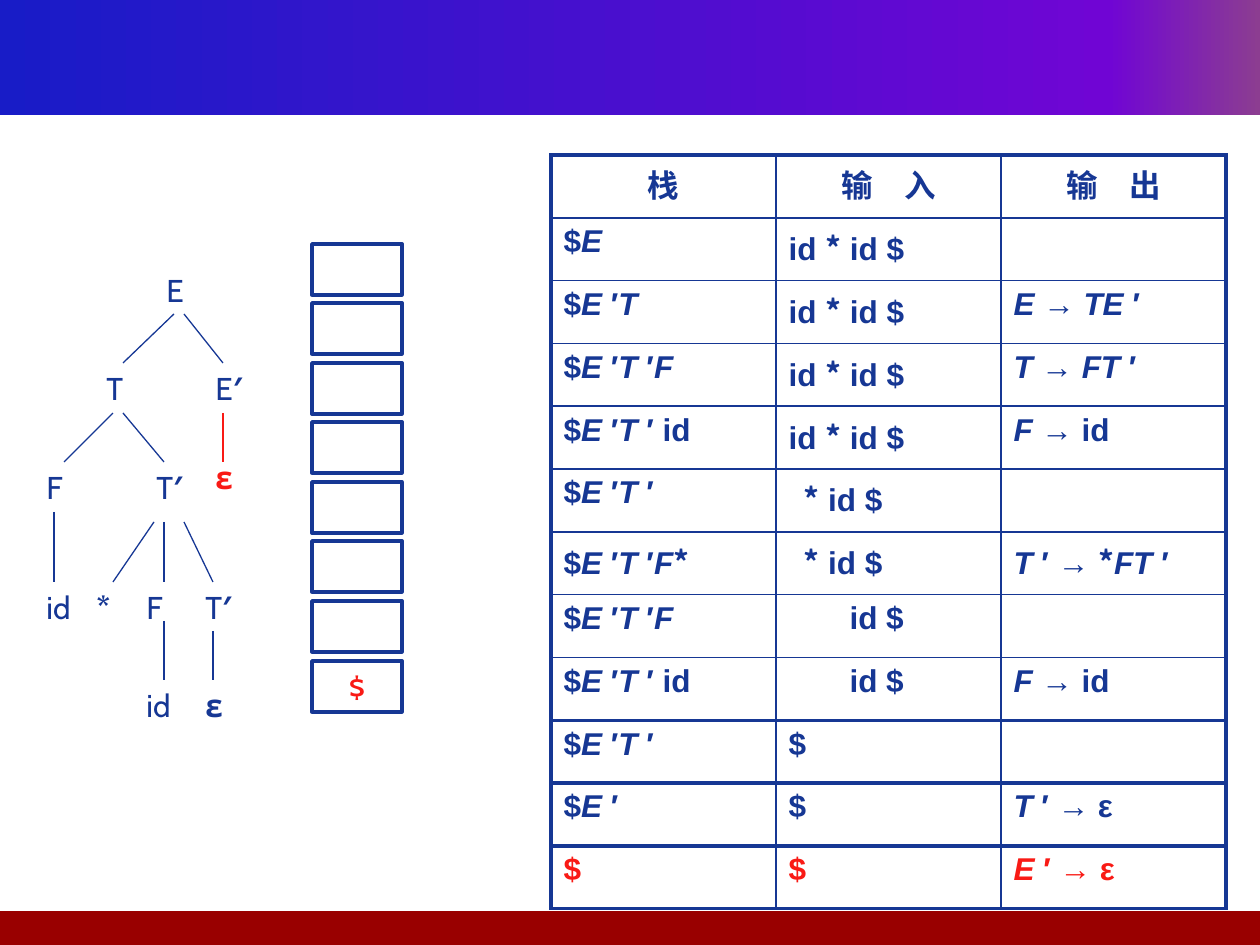
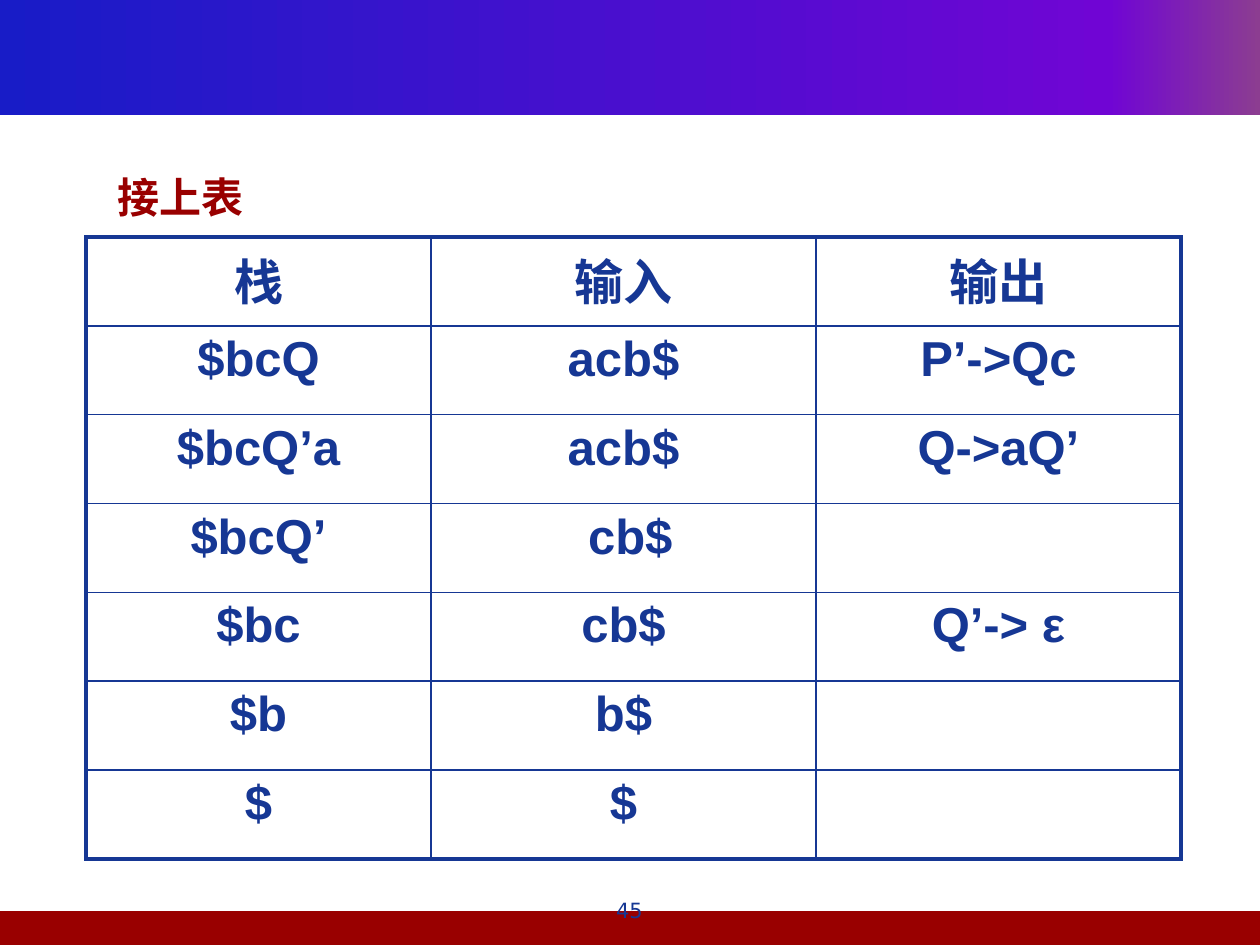
from copy import deepcopy
from itertools import groupby

from lxml import etree
from pptx import Presentation, util as u
from pptx.dml.color import RGBColor
from pptx.enum import shapes, text
from pptx.oxml import ns

SCALE = 914400 / 126
WIDTH, HEIGHT = 1260, 945
NAVY = RGBColor(0x16, 0x37, 0x94)
RED = RGBColor(0xF9, 0x1A, 0x15)
MAROON = RGBColor(0x99, 0x00, 0x00)
BAND_STOPS = [
    (0, RGBColor(0x18, 0x1C, 0xC7)),
    (0.88, RGBColor(0x70, 0x05, 0xD4)),
    (1, RGBColor(0x8C, 0x3D, 0x91)),
]
THIN, HEAVY = 1, 2.25
LATIN, TREE, CJK, NUMBER = "Arial", "Cabin", "Noto Sans CJK SC", "DejaVu Sans"
TITLE_ONLY, BLANK = 5, 6


def px(length):
    return u.Emu(round(length * SCALE))


def grammar_runs(content):
    def style(char):
        return char in "ETF", char == "*"

    return [("".join(chars), {"italic": italic, "font": CJK if star else LATIN})
            for (italic, star), chars in groupby(content, style)]


def node_runs(content):
    return [("".join(chars), {"bold": bold})
            for bold, chars in groupby(content, lambda char: char in "*′ε")]


class Deck:
    def __init__(self):
        self.prs = Presentation()
        self.prs.slide_width, self.prs.slide_height = px(WIDTH), px(HEIGHT)
        self.slide = None

    def new_slide(self, layout):
        self.slide = self.prs.slides.add_slide(self.prs.slide_layouts[layout])
        header = self.rect(0, 0, WIDTH, 115)
        header.fill.gradient()
        header.fill.gradient_angle = 0
        stops = header._element.xpath(".//a:gsLst")[0]
        stops.append(deepcopy(stops[-1]))
        for stop, (position, color) in zip(header.fill.gradient_stops, BAND_STOPS):
            stop.position = position
            stop.color.rgb = color
        footer = self.rect(0, 911, WIDTH, 34)
        footer.fill.solid()
        footer.fill.fore_color.rgb = MAROON

    def rect(self, left, top, width, height, line=None):
        shape = self.slide.shapes.add_shape(
            shapes.MSO_SHAPE.RECTANGLE, px(left), px(top), px(width), px(height))
        shape.shadow.inherit = False
        shape.fill.background()
        if line:
            shape.line.color.rgb = line
            shape.line.width = u.Pt(2)
        else:
            shape.line.fill.background()
        return shape

    def run(self, paragraph, content, size, color, font=LATIN, bold=False, italic=False):
        run = paragraph.add_run()
        run.text = content
        run.font.size = u.Pt(size)
        run.font.name = font
        run.font.bold, run.font.italic = bold, italic
        run.font.color.rgb = color
        east_asian = etree.SubElement(run._r.get_or_add_rPr(), ns.qn("a:ea"))
        east_asian.set("typeface", CJK)

    def title(self, content, left, top, width, height):
        title = self.slide.shapes.title
        title.left, title.top, title.width, title.height = map(px, (left, top, width, height))
        frame = title.text_frame
        frame.word_wrap = False
        frame.auto_size = text.MSO_AUTO_SIZE.SHAPE_TO_FIT_TEXT
        frame.vertical_anchor = text.MSO_ANCHOR.TOP
        paragraph = frame.paragraphs[0]
        paragraph.alignment = text.PP_ALIGN.LEFT
        self.run(paragraph, content, 24, MAROON, TREE, bold=True)

    def label(self, left, top, width, height):
        frame = self.slide.shapes.add_textbox(
            px(left), px(top), px(width), px(height)).text_frame
        frame.word_wrap = True
        return frame.paragraphs[0]

    def node(self, content, left, top, color=NAVY):
        paragraph = self.label(left, top, 59, 50)
        for part, style in node_runs(content):
            self.run(paragraph, part, 18, color, TREE, **style)

    def edge(self, x1, y1, x2, y2, color=NAVY):
        edge = self.slide.shapes.add_connector(
            shapes.MSO_CONNECTOR.STRAIGHT, px(x1), px(y1), px(x2), px(y2))
        edge.line.color.rgb = color
        edge.line.width = u.Pt(0.75)
        etree.SubElement(edge._element.spPr, ns.qn("a:effectLst"))

    def border(self, cell, widths):
        properties = cell._tc.get_or_add_tcPr()
        for index, (side, width) in enumerate(zip("LRTB", widths)):
            line = etree.Element(ns.qn(f"a:ln{side}"), w=str(u.Pt(width)))
            fill = etree.SubElement(line, ns.qn("a:solidFill"))
            etree.SubElement(fill, ns.qn("a:srgbClr"), val=str(NAVY))
            properties.insert(index, line)

    def table(self, left, top, columns, height, row_count, heavy_from):
        table = self.slide.shapes.add_table(
            row_count, len(columns), px(left), px(top), px(sum(columns)), px(height)).table
        table.first_row = table.horz_banding = False
        for column, width in zip(table.columns, columns):
            column.width = px(width)
        for row in table.rows:
            row.height = px(height / row_count)

        def rule(index):
            return HEAVY if index == 0 or index >= heavy_from else THIN

        last = len(columns) - 1
        for r in range(row_count):
            for c in range(len(columns)):
                cell = table.cell(r, c)
                cell.fill.background()
                self.border(cell, (HEAVY if c == 0 else THIN, HEAVY if c == last else THIN,
                                   rule(r), rule(r + 1)))
        return table

    def cell(self, cell, runs, size, color=NAVY, centered=False, indent=0):
        paragraph = cell.text_frame.paragraphs[0]
        if centered:
            paragraph.alignment = text.PP_ALIGN.CENTER
        if indent:
            paragraph._p.get_or_add_pPr().set("marL", str(px(indent)))
        for content, style in runs:
            self.run(paragraph, content, size, color, bold=True, **style)


PARSE_HEADINGS = ["栈", "输　入", "输　出"]
PARSE_STEPS = [
    ("$E", "id * id $", ""),
    ("$E ′T", "id * id $", "E → TE ′"),
    ("$E ′T ′F", "id * id $", "T → FT ′"),
    ("$E ′T ′ id", "id * id $", "F → id"),
    ("$E ′T ′", "* id $", ""),
    ("$E ′T ′F*", "* id $", "T ′ → *FT ′"),
    ("$E ′T ′F", "id $", ""),
    ("$E ′T ′ id", "id $", "F → id"),
    ("$E ′T ′", "$", ""),
    ("$E ′", "$", "T ′ → ε"),
    ("$", "$", "E ′ → ε"),
]
INPUT_INDENTS = {"* id $": 15, "id $": 61}

TREE_NODES = [
    ("E", 154, 265), ("T", 94, 363), ("E′", 203, 363), ("F", 34, 462), ("T′", 144, 462),
    ("id", 34, 582), ("*", 84, 582), ("F", 134, 582), ("T′", 193, 582),
    ("id", 134, 680), ("ε", 193, 680),
]
TREE_EDGES = [
    (174, 314, 123, 363), (184, 314, 223, 363), (113, 413, 64, 462), (123, 413, 164, 462),
    (54, 512, 54, 582), (154, 522, 113, 582), (164, 522, 164, 582), (184, 522, 213, 582),
    (164, 621, 164, 680), (213, 631, 213, 680),
]

CONTINUED_ROWS = [
    ("栈", "输入", "输出"),
    ("$bcQ", "acb$", "P’->Qc"),
    ("$bcQ’a", "acb$", "Q->aQ’"),
    ("$bcQ’", " cb$", ""),
    ("$bc", "cb$", "Q’-> ε"),
    ("$b", "b$", ""),
    ("$", "$", ""),
]


def parse_slide(deck):
    deck.new_slide(BLANK)
    steps = deck.table(551, 155, [225] * 3, 754, len(PARSE_STEPS) + 1, heavy_from=9)
    for c, heading in enumerate(PARSE_HEADINGS):
        deck.cell(steps.cell(0, c), [(heading, {"font": CJK})], 18, centered=True)
    for r, step in enumerate(PARSE_STEPS, 1):
        color = RED if r == len(PARSE_STEPS) else NAVY
        for c, content in enumerate(step):
            deck.cell(steps.cell(r, c), grammar_runs(content), 18, color,
                      indent=INPUT_INDENTS.get(content, 0))

    for node in TREE_NODES:
        deck.node(*node)
    for edge in TREE_EDGES:
        deck.edge(*edge)
    deck.edge(223, 413, 223, 462, RED)
    deck.node("ε", 203, 452, RED)

    for slot in range(8):
        stack_slot = deck.rect(312, 244 + 417 * slot // 7, 90, 51, NAVY)
    stack_slot.text_frame.vertical_anchor = text.MSO_ANCHOR.MIDDLE
    bottom = stack_slot.text_frame.paragraphs[0]
    bottom.alignment = text.PP_ALIGN.CENTER
    deck.run(bottom, "$", 18, RED, TREE)


def continued_slide(deck):
    deck.new_slide(TITLE_ONLY)
    count = len(CONTINUED_ROWS)
    continued = deck.table(86, 237, [345, 385, 365], 622, count, heavy_from=count)
    for r, row in enumerate(CONTINUED_ROWS):
        for c, content in enumerate(row):
            if content:
                deck.cell(continued.cell(r, c), [(content, {})], 28, centered=True)
    page = deck.label(483, 891, 293, 44)
    page.alignment = text.PP_ALIGN.CENTER
    deck.run(page, "45", 12, NAVY, NUMBER)
    deck.title("接上表", 105, 165, 152, 63)


def main():
    deck = Deck()
    parse_slide(deck)
    continued_slide(deck)
    deck.prs.save("out.pptx")


if __name__ == "__main__":
    main()
